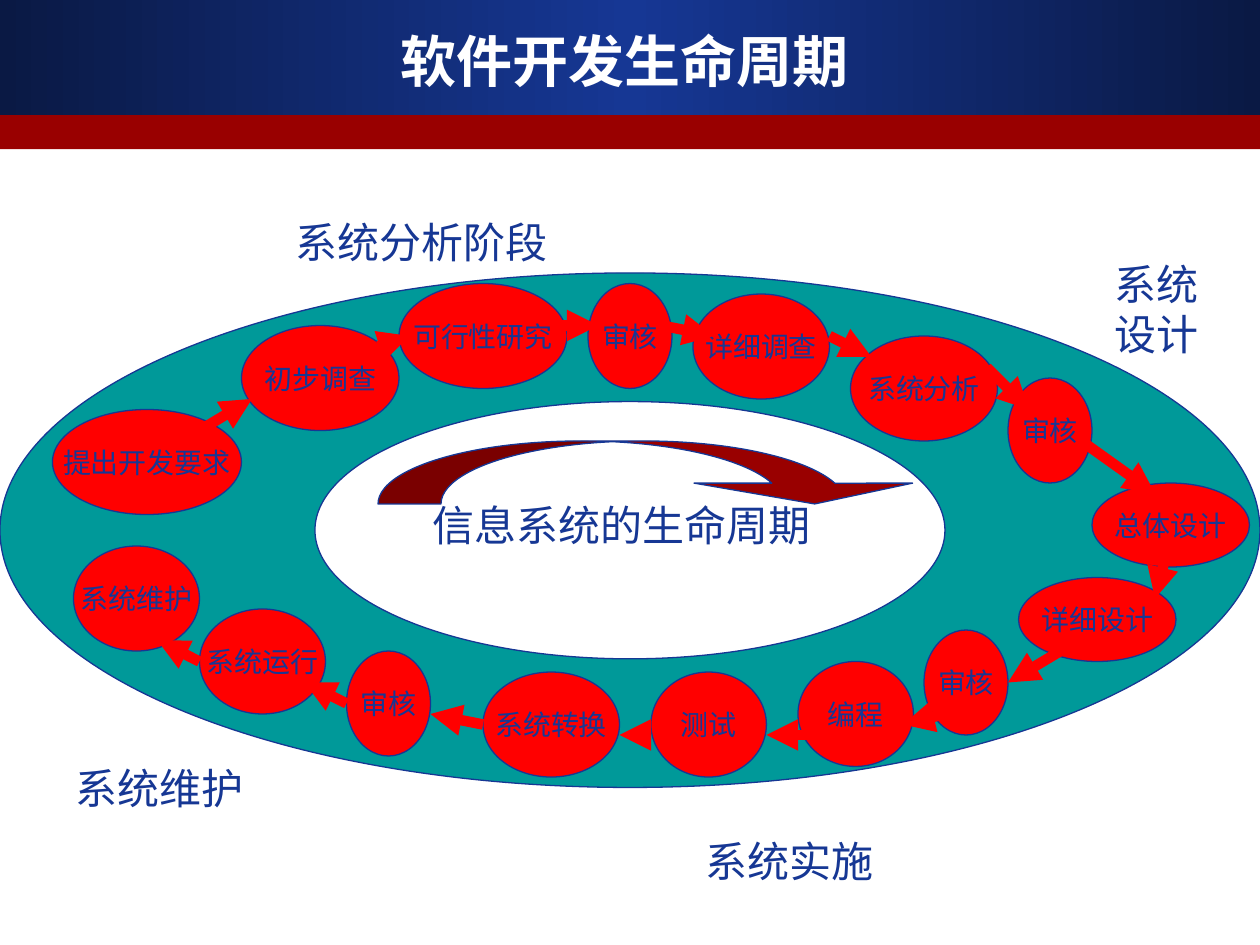
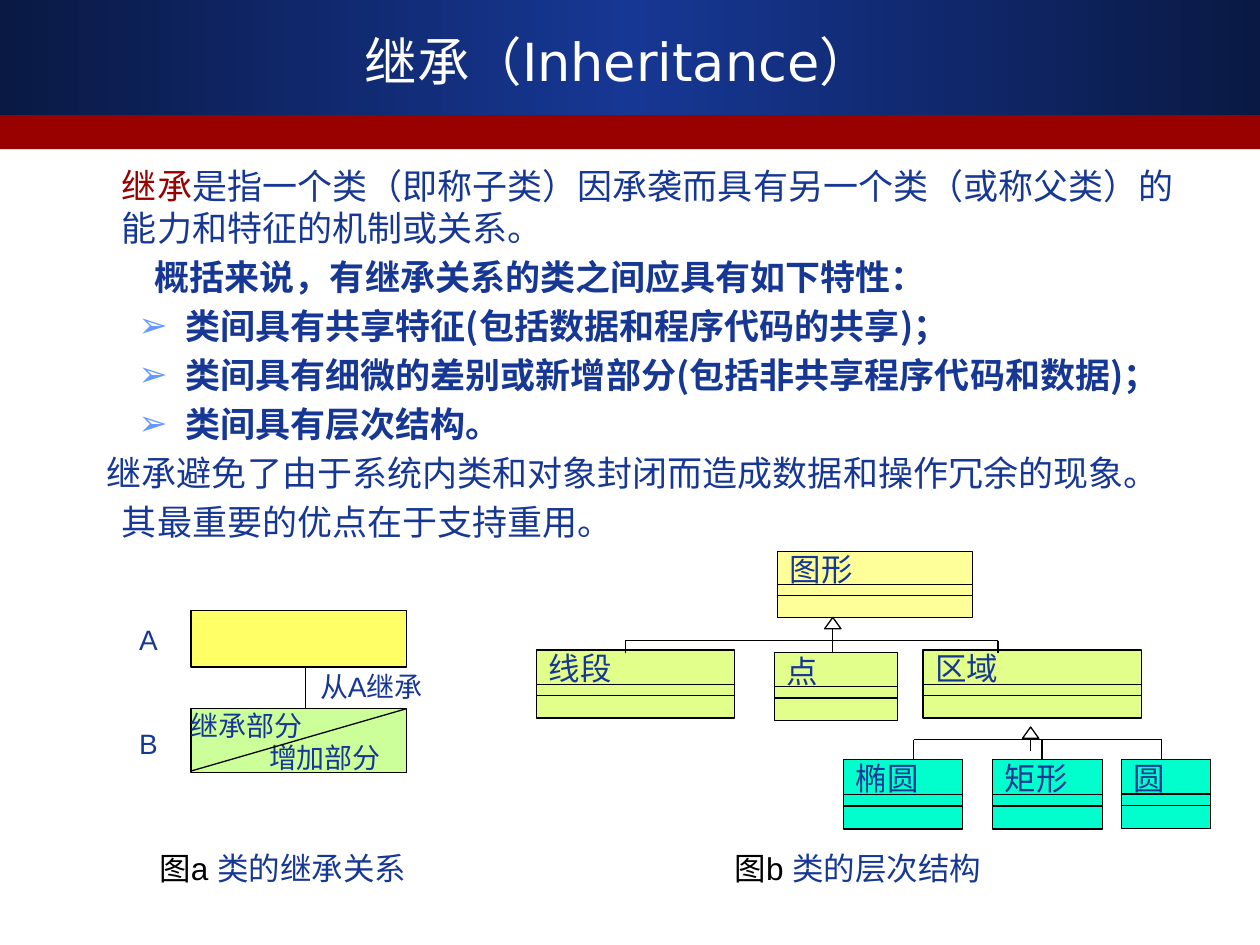
import copy

import pptx
import pptx.dml.color
import pptx.enum.shapes
import pptx.enum.text
import pptx.oxml
import pptx.oxml.ns
import pptx.util

COLORS = {
    "edge": "0A1944", "navy": "163794", "crimson": "990000", "white": "FFFFFF",
    "black": "000000", "teal": "009999", "red": "FF0000", "sky": "6699FF",
    "cream": "FFFF99", "lime": "E2FF8B", "mint": "00FFCC",
    "yellow": "FFFF66", "green": "CCFF99",
}
SHAPE = pptx.enum.shapes.MSO_SHAPE
LEFT, CENTER = pptx.enum.text.PP_ALIGN.LEFT, pptx.enum.text.PP_ALIGN.CENTER
TOP, MIDDLE = pptx.enum.text.MSO_ANCHOR.TOP, pptx.enum.text.MSO_ANCHOR.MIDDLE
SERIF, SANS, TITLE_FONT, CJK = "Times New Roman", "Arial", "DejaVu Sans", "Noto Sans CJK SC"
ROUNDNESS = 0.55


def rgb(color):
    return pptx.dml.color.RGBColor.from_string(COLORS[color])


def add_xml(parent, tag, content="", **attributes):
    listed = " ".join(f'{name}="{value}"' for name, value in attributes.items())
    namespace = pptx.oxml.ns.nsdecls("a")
    parent.append(pptx.oxml.parse_xml(f"<a:{tag} {namespace} {listed}>{content}</a:{tag}>"))


class SlideMaker:
    def __init__(self, deck):
        self.deck = deck

    def start(self, title, columns, rows, size=32, bold=True):
        self.slide = self.deck.slides.add_slide(self.deck.slide_layouts[6])
        self.set_grid(1000, 750)
        self.gradient_band(0, 0, 1000, 91)
        self.shape(SHAPE.RECTANGLE, (0, 91.5, 1000, 27), "crimson", line=None)
        frame = self.text_box((33, 17, 925, 62), anchor=MIDDLE)
        self.paragraph(frame, [title], size, TITLE_FONT, "white", CENTER, bold)
        self.set_grid(columns, rows)

    def set_grid(self, columns, rows):
        self.column = self.deck.slide_width / columns
        self.row = self.deck.slide_height / rows

    def place(self, *lengths):
        units = (self.column, self.row) * 2
        return [pptx.util.Emu(round(length * unit)) for length, unit in zip(lengths, units)]

    def finish(self, shape, fill, line):
        shape.shadow.inherit = False
        shape.fill.solid()
        shape.fill.fore_color.rgb = rgb(fill)
        if line:
            shape.line.color.rgb = rgb(line)
            shape.line.width = pptx.util.Pt(0.75)
        else:
            shape.line.fill.background()

    def shape(self, kind, area, fill, line="black"):
        shape = self.slide.shapes.add_shape(kind, *self.place(*area))
        self.finish(shape, fill, line)
        return shape

    def gradient_band(self, *area):
        band = self.shape(SHAPE.RECTANGLE, area, "navy", line=None)
        band.fill.gradient()
        band.fill.gradient_angle = 0
        stop_list = band._element.spPr.find(".//" + pptx.oxml.ns.qn("a:gsLst"))
        stop_list.append(copy.deepcopy(stop_list[0]))
        stops = zip(band.fill.gradient_stops, ("edge", "navy", "edge"), (0, 0.5, 1))
        for stop, color, position in stops:
            stop.color.rgb = rgb(color)
            stop.position = position

    def ring(self, center, outer, inner, fill, line):
        def spot(radius, x, y):
            return self.place(center[0] + radius[0] * x, center[1] + radius[1] * y)

        def point(radius, x, y):
            left, top = spot(radius, x, y)
            return f'<a:pt x="{left - shape.left}" y="{top - shape.top}"/>'

        quarters = [(-1, 0), (0, -1), (1, 0), (0, 1)]
        corners = [spot(outer, *quarter) for quarter in quarters]
        builder = self.slide.shapes.build_freeform(*corners[0])
        builder.add_line_segments(corners[1:], close=True)
        shape = builder.convert_to_shape()
        outline = shape._element.spPr.find(".//" + pptx.oxml.ns.qn("a:path"))
        for child in list(outline):
            outline.remove(child)
        for radius, turns in ((outer, quarters), (inner, quarters[:1] + quarters[:0:-1])):
            add_xml(outline, "moveTo", point(radius, *turns[0]))
            for (x1, y1), (x2, y2) in zip(turns, turns[1:] + turns[:1]):
                add_xml(outline, "cubicBezTo",
                        point(radius, x1 + ROUNDNESS * x2, y1 + ROUNDNESS * y2)
                        + point(radius, x2 + ROUNDNESS * x1, y2 + ROUNDNESS * y1)
                        + point(radius, x2, y2))
            add_xml(outline, "close")
        self.finish(shape, fill, line)

    def line(self, points, color="black", width=0.75, arrow=False):
        straight = pptx.enum.shapes.MSO_CONNECTOR.STRAIGHT
        connector = self.slide.shapes.add_connector(straight, *self.place(*points))
        connector.line.color.rgb = rgb(color)
        connector.line.width = pptx.util.Pt(width)
        if arrow:
            add_xml(connector.line._get_or_add_ln(), "tailEnd", type="triangle")
        add_xml(connector._element.spPr, "effectLst")

    def frame(self, shape, anchor=TOP, inset=True, wrap=True):
        frame = shape.text_frame
        frame.word_wrap = wrap
        frame.vertical_anchor = anchor
        if not inset:
            frame.margin_left = frame.margin_right = frame.margin_top = frame.margin_bottom = 0
        return frame

    def text_box(self, area, **options):
        return self.frame(self.slide.shapes.add_textbox(*self.place(*area)), **options)

    def paragraph(self, frame, parts, size, font, color="navy", align=LEFT, bold=False,
                  margin=0, indent=0, spacing=None, before=0, bullet=None):
        first = not frame.paragraphs[0].runs
        para = frame.paragraphs[0] if first else frame.add_paragraph()
        para.alignment = align
        if spacing:
            para.line_spacing = spacing
        if before and not first:
            para.space_before = pptx.util.Pt(before)
        properties = para._p.get_or_add_pPr()
        properties.set("marL", str(pptx.util.Inches(margin)))
        properties.set("indent", str(pptx.util.Inches(indent)))
        if bullet:
            add_xml(properties, "buClr", f'<a:srgbClr val="{COLORS["sky"]}"/>')
            add_xml(properties, "buFont", typeface=SANS)
            add_xml(properties, "buChar", char=bullet)
        para.font.size = pptx.util.Pt(size)
        para.font.name = font
        para.font.bold = bold
        para.font.color.rgb = rgb(color)
        for part in parts:
            words, part_color = (part, None) if isinstance(part, str) else part
            span = para.add_run()
            span.text = words
            if part_color:
                span.font.color.rgb = rgb(part_color)
        return para

    def label(self, words, area, size, font, inset=True):
        self.paragraph(self.text_box(area, inset=inset), [words], size, font)

    def step(self, words, *area):
        oval = self.shape(SHAPE.OVAL, area, "red", line="navy")
        frame = self.frame(oval, MIDDLE, inset=False, wrap=False)
        self.paragraph(frame, [words], 16, SERIF, align=CENTER)

    def class_box(self, name, fill, left, top, width, height):
        box = self.shape(SHAPE.RECTANGLE, (left, top, width, height), fill)
        self.paragraph(self.frame(box), [name], 18, SANS, spacing=0.8)
        for share in (1 / 2, 2 / 3):
            level = top + height * share
            self.line((left, level, left + width, level))

    def inheritance(self, tip, bus, bottom, drops):
        x, y = tip
        self.shape(SHAPE.ISOSCELES_TRIANGLE, (x - 6.5, y, 13, 9), "white")
        self.line((x, y + 9, x, y + 19))
        self.line((drops[0], bus, drops[-1], bus))
        for drop in drops:
            self.line((drop, bus, drop, bottom))

    def caption(self, number, words, *area):
        frame = self.text_box(area, inset=False)
        self.paragraph(frame, [(number + " ", "black"), words], 18, SANS)


def life_cycle(maker):
    maker.start("软件开发生命周期", 120, 90)
    maker.ring((60, 50.5), (60, 24.5), (30, 12.25), "teal", "navy")
    for step in [
        ("提出开发要求", 5, 39, 18, 10), ("初步调查", 23, 31, 15, 10),
        ("可行性研究", 38, 27, 16, 10), ("详细调查", 66, 28, 13, 10),
        ("系统分析", 81, 32, 14, 10), ("总体设计", 104, 46, 15, 8),
        ("详细设计", 97, 55, 15, 8), ("编程", 76, 63, 11, 10),
        ("测试", 62, 64, 11, 10), ("系统转换", 46, 64, 13, 10),
        ("系统维护", 7, 52, 12, 10), ("审核", 56, 27, 8, 10),
        ("审核", 96, 36, 8, 10), ("审核", 88, 60, 8, 10),
        ("系统运行", 19, 58, 12, 10), ("审核", 33, 62, 8, 10),
    ]:
        maker.step(*step)
    maker.label("信息系统的生命周期", (40, 47, 40, 6), 24, SERIF)
    turn = maker.shape(SHAPE.CURVED_DOWN_ARROW, (36, 42, 52, 6), "crimson", line="navy")
    for index, value in enumerate((1.38, 3.47, 0.33)):
        turn.adjustments[index] = value
    for words, area in [
        ("系统分析阶段", (27, 20, 34, 6)), ("系统设计", (105, 24, 12, 11)),
        ("系统实施", (66, 79, 22, 6)), ("系统维护", (6, 72, 23, 6)),
    ]:
        maker.label(words, area, 24, SERIF)
    for points in [
        (19, 41, 24, 38), (36, 33, 39, 32), (63, 31, 68, 32), (53, 31, 57, 31),
        (79, 32, 83, 34), (94, 35, 98, 39), (103, 42, 110, 47), (111, 53, 110, 57),
        (101, 62, 96, 65), (90, 68, 86, 69), (77, 70, 73, 70), (62, 70, 59, 70),
        (46, 69, 41, 68), (33, 67, 29, 65), (19, 63, 15, 61),
    ]:
        maker.line(points, "red", 6, arrow=True)


def inheritance_slide(maker):
    maker.start("继承（Inheritance） ", 1000, 750, size=30, bold=False)
    body = maker.text_box((50, 126, 900, 574))
    style = {"size": 20, "font": CJK, "before": 4}
    definition = "是指一个类（即称子类）因承袭而具有另一个类（或称父类）的能力和特征的机制或关系。"
    maker.paragraph(body, [("继承", "crimson"), definition], margin=0.37, **style)
    maker.paragraph(body, ["概括来说，有继承关系的类之间应具有如下特性："],
                    bold=True, margin=0.63, **style)
    for words in (
        " 类间具有共享特征(包括数据和程序代码的共享)；",
        " 类间具有细微的差别或新增部分(包括非共享程序代码和数据)；",
        " 类间具有层次结构。",
    ):
        maker.paragraph(body, [words], bold=True, margin=0.81, indent=-0.31,
                        bullet="➢", **style)
    benefit = "继承避免了由于系统内类和对象封闭而造成数据和操作冗余的现象。其最重要的优点在于支持重用。"
    para = maker.paragraph(body, [benefit, " "], margin=0.37, indent=-0.12, **style)
    para.runs[-1].font.size = pptx.util.Pt(24)
    para.runs[-1].font.name = SANS

    for class_box in [
        ("图形", "cream", 617, 437.5, 155, 52.5),
        ("线段", "lime", 425.5, 516, 157.5, 54),
        ("点", "lime", 614.5, 518, 98, 54),
        ("区域", "lime", 732.5, 516, 173.5, 54),
        ("椭圆", "mint", 669.5, 603, 94.5, 55),
        ("矩形", "mint", 787.5, 603, 87.5, 55),
        ("圆", "mint", 890, 603, 71, 54.5),
    ]:
        maker.class_box(*class_box)
    maker.inheritance((661, 490), 508.4, 518, (496.4, 661, 792))
    maker.inheritance((818, 577), 587, 603, (725, 827, 922))

    maker.shape(SHAPE.RECTANGLE, (151.5, 484.5, 171, 45), "yellow")
    child = maker.shape(SHAPE.RECTANGLE, (151.5, 562.5, 171, 50.5), "green")
    frame = maker.frame(child, inset=False)
    maker.paragraph(frame, ["继承部分"], 16, SANS)
    maker.paragraph(frame, ["增加部分"], 16, SANS, margin=0.62, spacing=0.96)
    maker.line((242.5, 529.5, 242.5, 562.5))
    maker.line((151.5, 612, 322.5, 562.5))
    for words, area in [
        ("从A继承", (254, 531.5, 171, 29)), ("A", (110.5, 494, 46, 22)),
        ("B", (110.5, 576.5, 46, 22)),
    ]:
        maker.label(words, area, 16, SANS, inset=False)
    maker.caption("图a", "类的继承关系", 126.5, 674, 251, 36)
    maker.caption("图b", "类的层次结构", 583, 674, 254, 26)


def main():
    deck = pptx.Presentation()
    deck.slide_width = pptx.util.Inches(10)
    deck.slide_height = pptx.util.Inches(7.5)
    maker = SlideMaker(deck)
    life_cycle(maker)
    inheritance_slide(maker)
    deck.save("out.pptx")


if __name__ == "__main__":
    main()
